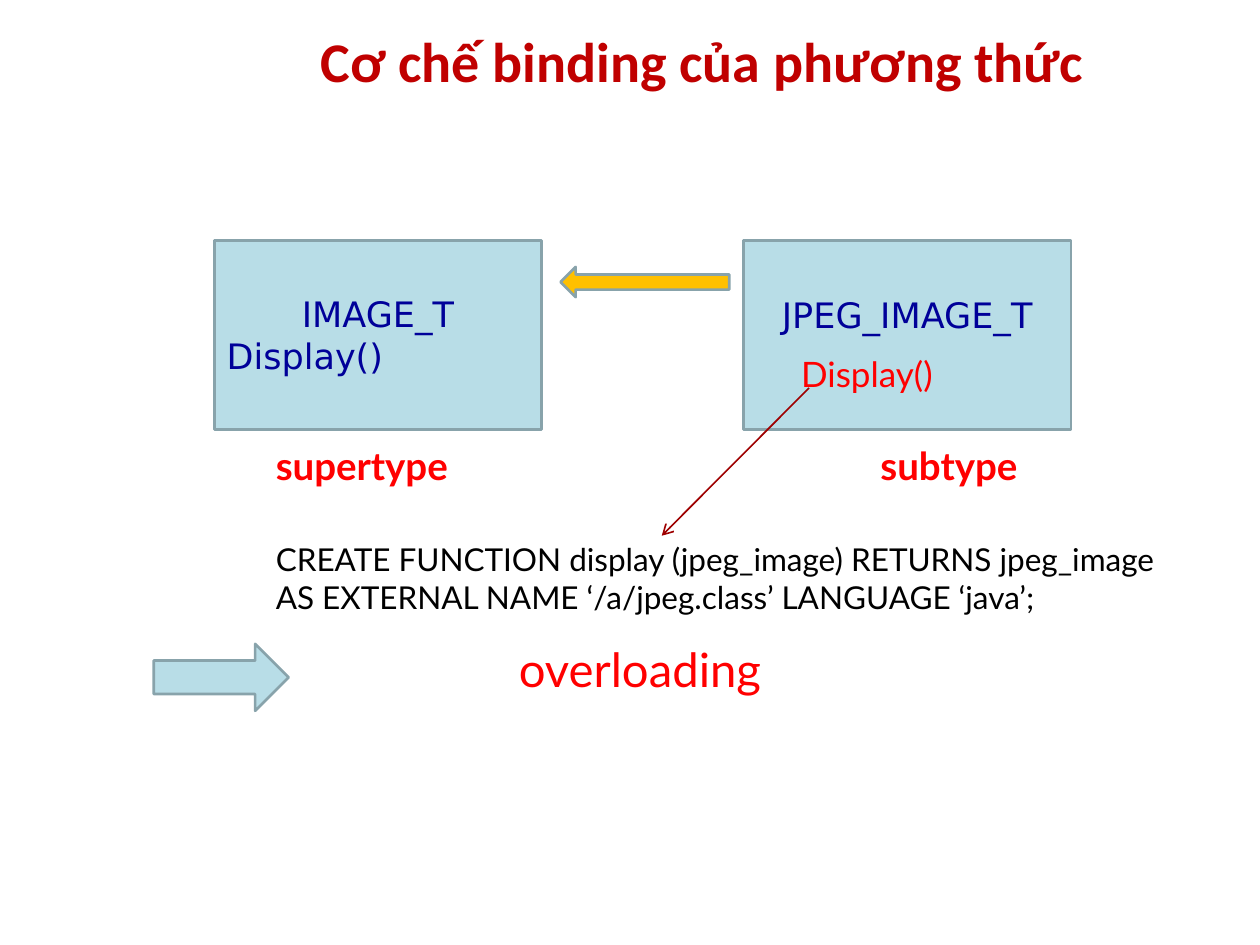
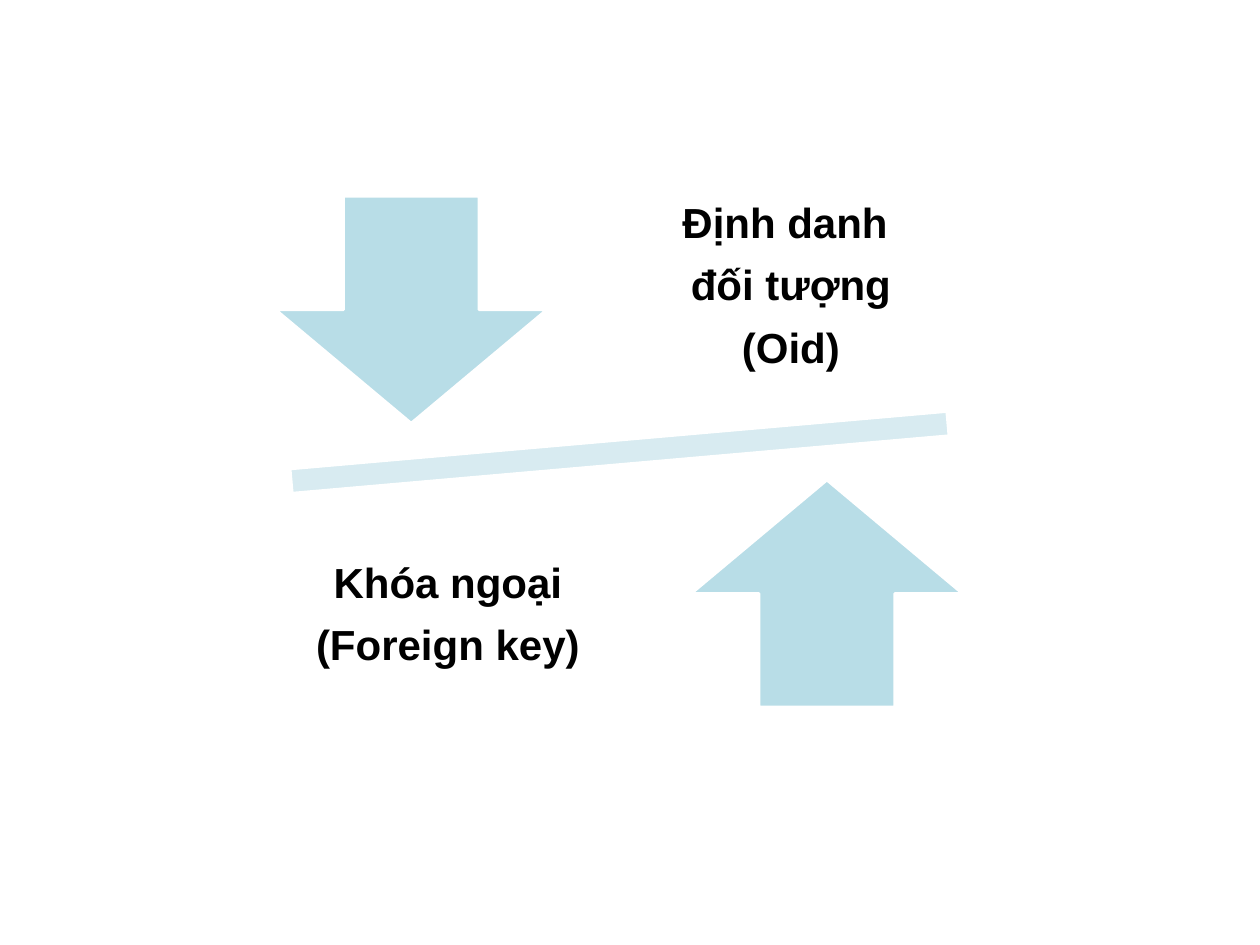
from lxml.etree import SubElement
from pptx import Presentation
from pptx.dml.color import RGBColor
from pptx.enum.shapes import MSO_CONNECTOR, MSO_SHAPE
from pptx.enum.text import MSO_ANCHOR, PP_ALIGN
from pptx.oxml.ns import qn
from pptx.util import Cm, Pt

WHITE, BLACK, RED = "FFFFFF", "000000", "FF0000"
PALE_BLUE, LIGHT_BLUE, BLUE_GREY = "D8EBF1", "B8DDE7", "88A3AB"
NAVY, AMBER, TITLE_RED, DARK_RED = "000099", "FFC000", "C00000", "9E0000"

TITLE = {"name": "Calibri", "size": Pt(32), "bold": True, "color": TITLE_RED}
TYPE_NAME = {"name": "DejaVu Sans", "size": Pt(20), "color": NAVY}
ROLE = {"name": "Lato", "size": Pt(22), "bold": True, "color": RED}
METHOD = {"name": "Lato", "size": Pt(20), "color": RED}
CODE = {"name": "Lato", "size": Pt(18), "color": BLACK}
CONCLUSION = {"name": "Lato", "size": Pt(27), "color": RED}
CONCEPT = {"name": "Arial", "size": Pt(24), "bold": True, "color": BLACK}

CENTRED = {"alignment": PP_ALIGN.CENTER}
LEFT = {"alignment": PP_ALIGN.LEFT}
CONCEPT_SPACING = {**CENTRED, "line_spacing": 0.9, "space_after": Pt(9.7)}


def paint(color_format, hex_color):
    color_format.rgb = RGBColor.from_string(hex_color)


def set_values(target, values):
    for name, value in values.items():
        if name == "color":
            paint(target.color, value)
        else:
            setattr(target, name, value)


def write_lines(frame, lines, font, layouts):
    """Write one paragraph per line, each with its own paragraph layout."""
    for index, (line, layout) in enumerate(zip(lines, layouts)):
        para = frame.paragraphs[0] if index == 0 else frame.add_paragraph()
        set_values(para, layout)
        span = para.add_run()
        span.text = line
        set_values(span.font, font)


def add_text(page, area, lines, font, layout=LEFT, **frame_values):
    box = page.shapes.add_textbox(*map(Cm, area))
    set_values(box.text_frame, {"word_wrap": True, **frame_values})
    write_lines(box.text_frame, lines, font, [layout] * len(lines))


def add_figure(page, kind, area, fill, line=WHITE, width=1.5, rotation=0):
    figure = page.shapes.add_shape(kind, *map(Cm, area))
    figure.shadow.inherit = False
    figure.fill.solid()
    paint(figure.fill.fore_color, fill)
    set_values(figure.line, {"color": line, "width": Pt(width)})
    figure.rotation = rotation
    return figure


def add_type_box(page, left, lines, bottom_margin=0.13):
    box = add_figure(page, MSO_SHAPE.RECTANGLE, (left, 4.85, 6.6, 3.81),
                     LIGHT_BLUE, BLUE_GREY)
    set_values(box.text_frame, {"word_wrap": True,
                                "vertical_anchor": MSO_ANCHOR.MIDDLE,
                                "margin_bottom": Cm(bottom_margin)})
    write_lines(box.text_frame, lines, TYPE_NAME, [CENTRED, LEFT])


def add_pointer(page, start, end):
    pointer = page.shapes.add_connector(MSO_CONNECTOR.STRAIGHT,
                                        *map(Cm, start + end))
    set_values(pointer.line, {"color": DARK_RED, "width": Pt(0.94)})
    SubElement(pointer.line._get_or_add_ln(), qn("a:tailEnd"), type="arrow")
    SubElement(pointer._element.spPr, qn("a:effectLst"))


def add_concept(page, area, lines):
    inset = Cm(0.48)
    add_text(page, area, lines, CONCEPT, CONCEPT_SPACING,
             vertical_anchor=MSO_ANCHOR.MIDDLE, margin_left=inset,
             margin_right=inset, margin_top=inset, margin_bottom=inset)


def add_page(deck):
    """Add a blank page with the shared title band."""
    page = deck.slides.add_slide(deck.slide_layouts[6])
    add_figure(page, MSO_SHAPE.ROUNDED_RECTANGLE, (4.24, 0.2, 19.86, 1.57),
               WHITE, width=3)
    return page


def build_binding_page(deck):
    page = add_page(deck)
    add_text(page, (4.45, 0.43, 19.43, 1.57),
             ["Cơ chế binding của phương thức"], TITLE, CENTRED,
             vertical_anchor=MSO_ANCHOR.MIDDLE)
    add_type_box(page, 4.32, ["IMAGE_T", "Display()"])
    add_type_box(page, 14.99, ["JPEG_IMAGE_T"], bottom_margin=0.97)
    add_figure(page, MSO_SHAPE.RIGHT_ARROW, (11.3, 5.38, 3.4, 0.61),
               AMBER, BLUE_GREY, rotation=180)
    add_text(page, (5.31, 8.79, 4.27, 1.19), ["supertype"], ROLE)
    add_text(page, (17.5, 8.79, 3.53, 1.19), ["subtype"], ROLE)
    add_text(page, (15.9, 6.99, 3.33, 1.12), ["Display()"], METHOD)
    add_text(page, (5.31, 10.77, 19.41, 1.8),
             ["CREATE FUNCTION display (jpeg_image) RETURNS jpeg_image",
              "AS EXTERNAL NAME ‘/a/jpeg.class’ LANGUAGE ‘java’;"], CODE)
    add_figure(page, MSO_SHAPE.RIGHT_ARROW, (3.1, 12.98, 2.72, 1.35),
               LIGHT_BLUE, BLUE_GREY)
    add_text(page, (10.21, 12.78, 5.49, 1.42), ["overloading"], CONCLUSION)
    add_pointer(page, (16.31, 7.82), (13.34, 10.8))


def build_balance_page(deck):
    page = add_page(deck)
    add_figure(page, MSO_SHAPE.MATH_MINUS, (3.45, 8.08, 18.08, 2.08),
               PALE_BLUE, rotation=355)
    add_figure(page, MSO_SHAPE.DOWN_ARROW, (5.56, 3.96, 5.46, 4.57), LIGHT_BLUE)
    add_concept(page, (12.12, 3.81, 7.65, 3.96),
                ["Định danh ", "đối tượng", "(Oid)"])
    add_figure(page, MSO_SHAPE.UP_ARROW, (13.94, 9.68, 5.46, 4.57), LIGHT_BLUE)
    add_concept(page, (3.99, 11.2, 10.08, 2.44),
                ["Khóa ngoại", "(Foreign key)"])


def main():
    deck = Presentation()
    deck.slide_width, deck.slide_height = Cm(25.4), Cm(19.05)
    build_binding_page(deck)
    build_balance_page(deck)
    deck.save("out.pptx")


if __name__ == "__main__":
    main()
